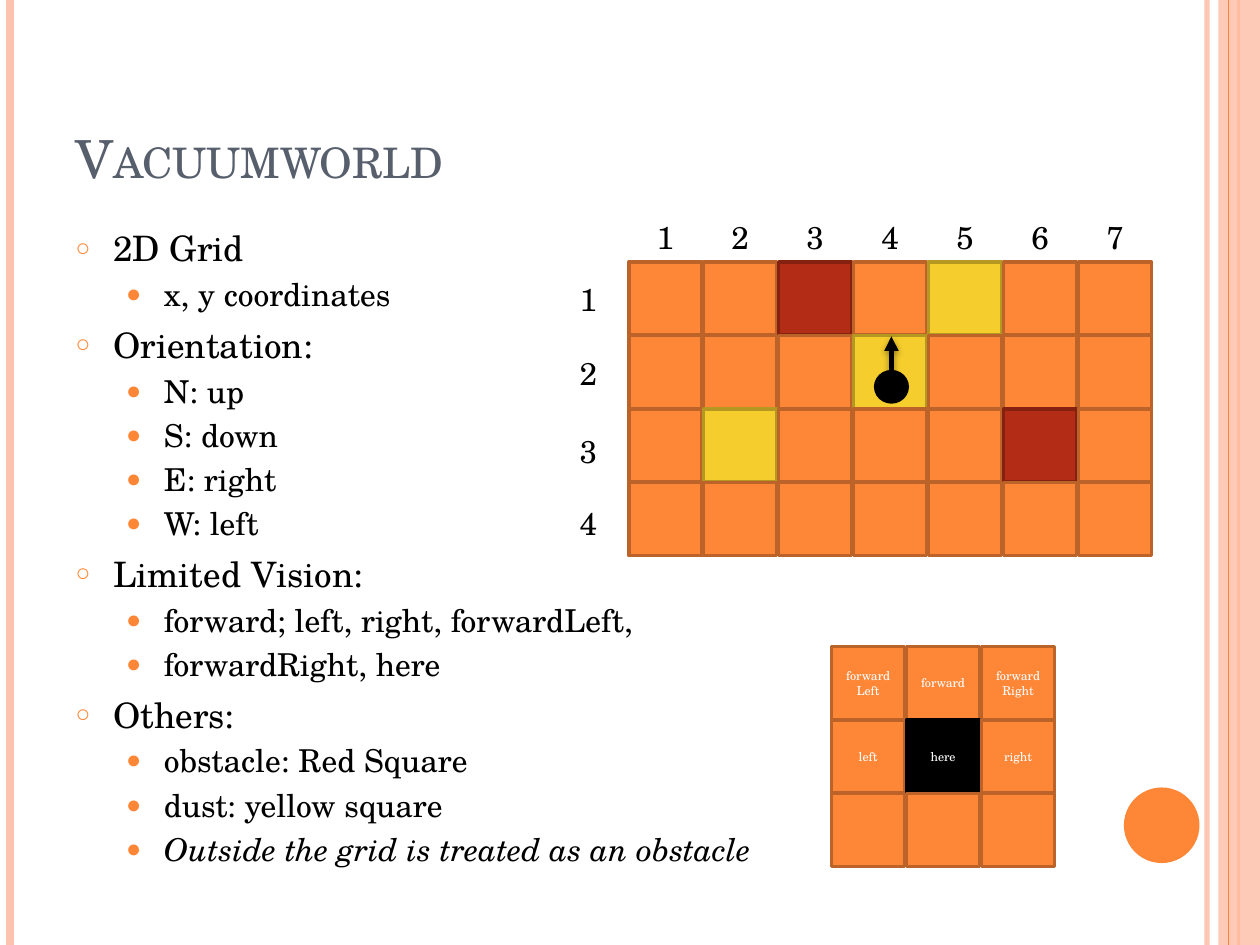
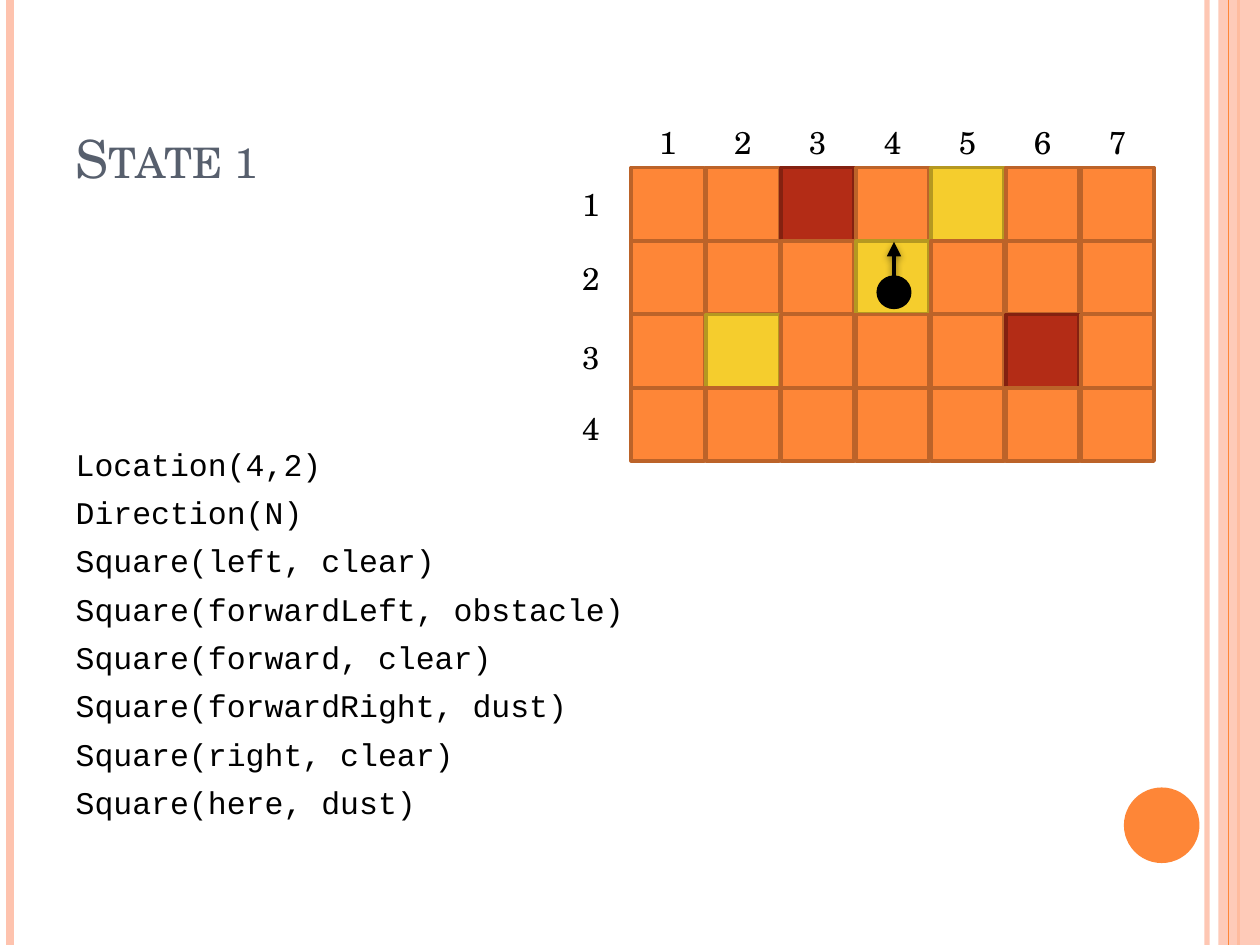
from lxml import etree
from pptx import Presentation
from pptx.dml.color import RGBColor
from pptx.enum.shapes import MSO_CONNECTOR as CONNECTOR, MSO_SHAPE as SHAPE
from pptx.enum.text import MSO_ANCHOR as ANCHOR, MSO_AUTO_SIZE as AUTO_SIZE, PP_ALIGN as ALIGN
from pptx.oxml import parse_xml
from pptx.oxml.ns import nsdecls, qn
from pptx.util import Inches, Pt

# Shared look
ORANGE = RGBColor(0xFE, 0x86, 0x37)
PEACH = RGBColor(0xFE, 0xC3, 0xAE)
SLATE = RGBColor(0x57, 0x5F, 0x6D)
BLACK = RGBColor(0, 0, 0)
WHITE = RGBColor(0xFF, 0xFF, 0xFF)
SERIF = "TeX Gyre Schola"
MONO = "Courier New"

# Fill and outline of each kind of square
CLEAR = (ORANGE, RGBColor(0xBC, 0x63, 0x29))
OBSTACLE = (RGBColor(0xB3, 0x2C, 0x16), RGBColor(0x84, 0x21, 0x10))
DUST = (RGBColor(0xF5, 0xCD, 0x2D), RGBColor(0xB5, 0x98, 0x21))
AGENT = (BLACK, BLACK)

# Grid geometry, in inches
CELL = 0.58
STEP_X = 0.595
STEP_Y = 0.583
COLUMNS, ROWS = 7, 4
ROW_LABEL_OFFSETS = (0.09, 0.68, 1.3, 1.87)

# World contents by (x, y)
WORLD = {(3, 1): OBSTACLE, (6, 3): OBSTACLE, (5, 1): DUST, (4, 2): DUST, (2, 3): DUST}

# Bullet character and size in percent, indent, and text size by list level
LEVELS = (("○", 70, 0.3, 20), ("●", 80, 0.7, 18))

TOPICS = (
    ("2D Grid", ("x, y coordinates",)),
    ("Orientation:", ("N: up", "S: down", "E: right", "W: left")),
    ("Limited Vision:", ("forward; left, right, forwardLeft,", "forwardRight, here")),
    ("Others:", ("obstacle: Red Square", "dust: yellow square",
                 "Outside the grid is treated as an obstacle")),
)
VISION = (
    ("forwardLeft", "forward", "forwardRight"),
    ("left", "here", "right"),
    ("", "", ""),
)
STATE = (
    "Location(4,2)", "Direction(N)", "Square(left, clear)",
    "Square(forwardLeft, obstacle)", "Square(forward, clear)",
    "Square(forwardRight, dust)", "Square(right, clear)", "Square(here, dust)",
)


def style_text(para, size, color=BLACK, name=SERIF):
    for span in para.runs:
        span.font.size = Pt(size)
        span.font.name = name
        span.font.color.rgb = color


def place(shape, left, top, width, height):
    shape.left, shape.top = Inches(left), Inches(top)
    shape.width, shape.height = Inches(width), Inches(height)


def set_alpha(color_parent, percent):
    color = color_parent.find(".//" + qn("a:srgbClr"))
    etree.SubElement(color, qn("a:alpha")).set("val", str(percent * 1000))


def add_solid(page, kind, left, top, width, height, fill, outline=None):
    shape = page.shapes.add_shape(
        kind, Inches(left), Inches(top), Inches(width), Inches(height))
    shape.shadow.inherit = False
    shape.fill.solid()
    shape.fill.fore_color.rgb = fill
    if outline is None:
        shape.line.fill.background()
    else:
        shape.line.color.rgb = outline
        shape.line.width = Pt(2)
    return shape


def add_line(page, start, end, color, width):
    line = page.shapes.add_connector(
        CONNECTOR.STRAIGHT, *(Inches(value) for value in (*start, *end)))
    line.line.color.rgb = color
    line.line.width = Pt(width)
    etree.SubElement(line._element.spPr, qn("a:effectLst"))
    return line


def add_arrow(page, start, end):
    arrow = add_line(page, start, end, BLACK, 2.75)
    properties = arrow._element.spPr
    etree.SubElement(properties.find(qn("a:ln")), qn("a:tailEnd")).set("type", "triangle")
    properties.find(qn("a:effectLst")).append(parse_xml(
        f'<a:outerShdw {nsdecls("a")} blurRad="{Pt(4)}" dist="{Pt(1.6)}" dir="5400000">'
        '<a:srgbClr val="000000"><a:alpha val="42000"/></a:srgbClr></a:outerShdw>'))


def add_square(page, left, top, colors, text=""):
    square = add_solid(page, SHAPE.RECTANGLE, left, top, CELL, CELL, *colors)
    if text:
        frame = square.text_frame
        frame.text = text
        frame.word_wrap = True
        frame.vertical_anchor = ANCHOR.MIDDLE
        frame.paragraphs[0].alignment = ALIGN.CENTER
        style_text(frame.paragraphs[0], 7, WHITE)


def add_label(page, left, top, text):
    box = page.shapes.add_textbox(Inches(left), Inches(top), Inches(CELL), Inches(0.4))
    frame = box.text_frame
    frame.word_wrap = True
    frame.auto_size = AUTO_SIZE.SHAPE_TO_FIT_TEXT
    frame.text = text
    frame.paragraphs[0].alignment = ALIGN.CENTER
    style_text(frame.paragraphs[0], 18)


def add_side_bands(page):
    inner = add_line(page, (9.58, 0), (9.58, 7.5), PEACH, 3)
    set_alpha(inner._element.spPr, 93)
    add_line(page, (0.08, 0), (0.08, 7.5), PEACH, 4.5)
    add_line(page, (9.83, 0), (9.83, 7.5), ORANGE, 1.5)
    band = add_solid(page, SHAPE.RECTANGLE, 9.67, 0, 0.33, 7.5, PEACH)
    set_alpha(band._element.spPr, 87)
    add_line(page, (9.75, 0), (9.75, 7.5), ORANGE, 0.75)
    add_solid(page, SHAPE.OVAL, 8.92, 6.25, 0.6, 0.6, ORANGE)


def add_page(deck, title):
    page = deck.slides.add_slide(deck.slide_layouts[1])
    add_side_bands(page)
    heading = page.shapes.title
    place(heading, 0.5, 0.3, 8.17, 1.25)
    frame = heading.text_frame
    frame.text = title
    frame.auto_size = AUTO_SIZE.NONE
    frame.vertical_anchor = ANCHOR.BOTTOM
    para = frame.paragraphs[0]
    para.alignment = ALIGN.LEFT
    style_text(para, 30, SLATE)
    para.runs[0].font._element.set("cap", "small")
    return page


def fill_body(page, lines, left, top, width, height):
    body = page.placeholders[1]
    place(body, left, top, width, height)
    frame = body.text_frame
    frame.text = "\n".join(lines)
    frame.auto_size = AUTO_SIZE.NONE
    return frame.paragraphs


def set_bullet(para, level):
    char, percent, indent, size = LEVELS[level]
    para.level = level
    if level == 0:
        para.space_before = Pt(6)
    properties = para._p.get_or_add_pPr()
    properties.set("marL", str(Inches(indent)))
    properties.set("indent", str(Inches(-0.3)))
    for tag, child in (
        ("buClr", f'<a:srgbClr val="{ORANGE}"/>'),
        ("buSzPct", None),
        ("buChar", None),
    ):
        value = {"buSzPct": f'val="{percent * 1000}"', "buChar": f'char="{char}"'}.get(tag, "")
        properties.append(parse_xml(f'<a:{tag} {nsdecls("a")} {value}>{child or ""}</a:{tag}>'))
    style_text(para, size)


def add_topics(page):
    items = [(text, level) for topic, details in TOPICS
             for text, level in ((topic, 0), *((detail, 1) for detail in details))]
    paras = fill_body(page, [text for text, _ in items], 0.5, 1.75, 8.17, 5.33)
    for para, (_, level) in zip(paras, items):
        set_bullet(para, level)
    paras[-1].runs[0].font.italic = True


def add_state(page):
    for para in fill_body(page, STATE, 0.5, 3.48, 5.03, 3.6):
        para.space_before = Pt(6)
        properties = para._p.get_or_add_pPr()
        properties.set("marL", "0")
        properties.set("indent", "0")
        etree.SubElement(properties, qn("a:buNone"))
        style_text(para, 18, name=MONO)


def add_world(page, left, top):
    # Squares, row by row
    for row in range(ROWS):
        for column in range(COLUMNS):
            colors = WORLD.get((column + 1, row + 1), CLEAR)
            add_square(page, left + column * STEP_X, top + row * STEP_Y, colors)
    # Coordinates
    for column in range(COLUMNS):
        add_label(page, left + column * STEP_X, top - 0.4, str(column + 1))
    for row, offset in enumerate(ROW_LABEL_OFFSETS):
        add_label(page, left - 0.61, top + offset, str(row + 1))
    # Agent facing north
    add_solid(page, SHAPE.OVAL, left + 1.96, top + 0.87, 0.25, 0.24, *AGENT)
    center = left + 2.085
    add_arrow(page, (center, top + 0.87), (center, top + 0.59))


def add_vision(page, left, top):
    for row, names in enumerate(VISION):
        for column, name in enumerate(names):
            colors = AGENT if name == "here" else CLEAR
            add_square(page, left + column * STEP_X, top + row * STEP_Y, colors, name)


def main():
    deck = Presentation()
    deck.slide_width, deck.slide_height = Inches(10), Inches(7.5)

    # Rules of the world
    page = add_page(deck, "Vacuumworld")
    add_topics(page)
    add_world(page, 4.99, 2.08)
    add_vision(page, 6.6, 5.13)

    # First state
    page = add_page(deck, "State 1")
    add_state(page)
    add_world(page, 5.01, 1.33)

    deck.save("out.pptx")


if __name__ == "__main__":
    main()
